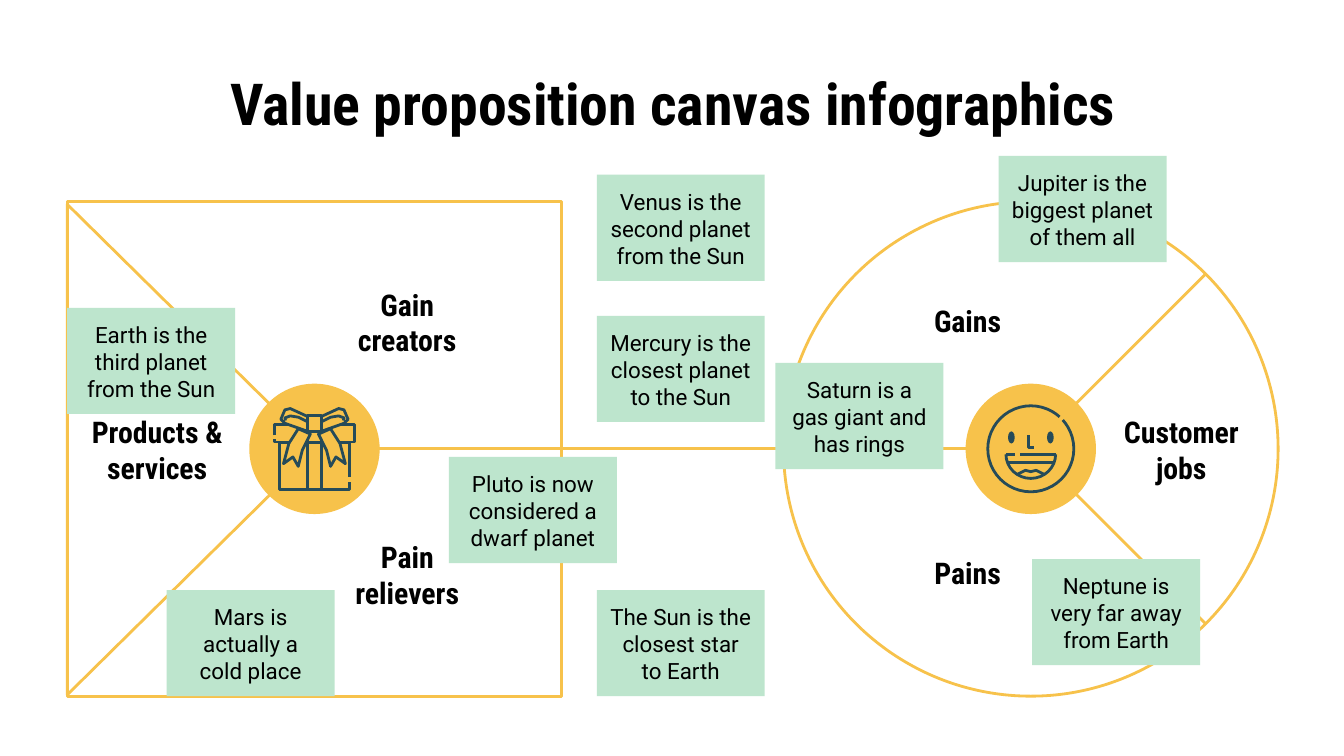
from math import cos, pi, sin
from lxml.etree import SubElement
from pptx import Presentation
from pptx.dml.color import RGBColor
from pptx.enum.shapes import MSO_CONNECTOR, MSO_SHAPE
from pptx.enum.text import MSO_ANCHOR, MSO_AUTO_SIZE, PP_ALIGN
from pptx.oxml.ns import qn
from pptx.util import Inches, Pt

COLORS = {"yellow": "F7C24B", "green": "BDE5CD", "ink": "264B59", "text": "000000"}

deck = Presentation()
deck.slide_width, deck.slide_height = Inches(10), Inches(5.625)
COL = deck.slide_width / 100  # square grid: 100 columns, 56.25 rows
slide = deck.slides.add_slide(deck.slide_layouts[5])
shapes = slide.shapes


def paint(shape, fill=None, line=None, width=1.5):
    shape.shadow.inherit = False
    if fill:
        shape.fill.solid()
        shape.fill.fore_color.rgb = RGBColor.from_string(COLORS[fill])
    else:
        shape.fill.background()
    if line:
        shape.line.color.rgb = RGBColor.from_string(COLORS[line])
        shape.line.width = Pt(width)
    else:
        shape.line.fill.background()
    return shape


def place(kind, *cells):
    return shapes.add_shape(kind, *(round(cell * COL) for cell in cells))


# Title
title = shapes.title
title.left, title.top, title.width, title.height = (
    round(cell * COL) for cell in (5, 4.5, 90.1, 6.2))
texts = [(title, "Value proposition canvas infographics", "Roboto Condensed", 31, True)]

# Customer circle, value square and the triangle that divides it
SIDE, MIDDLE, GIFT_X, FACE_X, HUB = 36.8, 33.4, 23.4, 76.7, 9.7
for kind, center in ((MSO_SHAPE.OVAL, FACE_X), (MSO_SHAPE.RECTANGLE, GIFT_X)):
    paint(place(kind, center - SIDE / 2, MIDDLE - SIDE / 2, SIDE, SIDE), line="yellow")
triangle = place(MSO_SHAPE.ISOSCELES_TRIANGLE, -4, 24.2, 36.5, 18.5)
triangle.rotation = 90
paint(triangle, line="yellow")

# Link between the hubs and the circle's dividers
for ends in ((GIFT_X, MIDDLE, FACE_X, MIDDLE),
             (FACE_X, MIDDLE, FACE_X + 13, MIDDLE + 13),
             (FACE_X + 13, MIDDLE - 13, FACE_X, MIDDLE)):
    divider = shapes.add_connector(MSO_CONNECTOR.STRAIGHT, *(round(end * COL) for end in ends))
    divider.line.color.rgb = RGBColor.from_string(COLORS["yellow"])
    divider.line.width = Pt(1.5)
    SubElement(divider._element.spPr, qn("a:effectLst"))

# Hubs
for center in (GIFT_X, FACE_X):
    paint(place(MSO_SHAPE.OVAL, center - HUB / 2, MIDDLE - HUB / 2, HUB, HUB), fill="yellow")

# Icon strokes, as offsets from the hub's centre: (hub, points, fill, closed)
tail = [(1.2, -1.5), (1.9, -0.4), (2.3, 1.1), (1.6, 0.6), (1.2, 1.3), (0.9, 0.1), (0.3, -1.1)]
loop = [(0.5, -2.4), (1.8, -3), (2.2, -2.9), (2.5, -2.2), (2.2, -1.9), (0.5, -1.3)]
fold = [(0.5, -2), (1.2, -2.35), (1.8, -2.45), (2.2, -2.3), (2.15, -2.1)]
smile = [(1.85 * cos(step * pi / 16), 0.4 + 1.8 * sin(step * pi / 16)) for step in range(17)]
strokes = [
    (GIFT_X, [(2.6, 2.1), (2.6, -0.5), (-2.6, -0.5), (-2.6, 3), (2.6, 3), (2.6, 2.5)], None, False),
    (GIFT_X, [(-3, -1), (-3, -1.8), (3, -1.8), (3, -0.5), (-3, -0.5), (-3, -0.7)], None, False),
    (GIFT_X, [(-0.5, -1), (-0.5, 3)], None, False),
    (GIFT_X, [(0.5, -1), (0.5, 3)], None, False),
]
for side in (-1, 1):
    for part, fill, closed in ((tail, "yellow", True), (loop, "yellow", True), (fold, None, False)):
        strokes.append((GIFT_X, [(side * x, y) for x, y in part], fill, closed))
strokes += [
    (GIFT_X, [(-0.5, -2.5), (0.5, -2.5), (0.5, -1.3), (-0.5, -1.3)], "yellow", True),
    (FACE_X, [(-0.2, -1), (-0.2, -0.1), (0.25, -0.1)], None, False),
    (FACE_X, smile, None, False),
    (FACE_X, [(-1.85, 0.4), (-1.2, 0.4)], None, False),
    (FACE_X, [(-0.8, 0.4), (1.85, 0.4)], None, False),
    (FACE_X, [(-1.75, 1), (1.75, 1)], None, False),
    (FACE_X, [(-1, 1.9), (-0.4, 1.6), (0, 1.7), (0.4, 1.6), (1, 1.9)], None, False),
]
for center, points, fill, closed in strokes:
    path = [(round((center + x) * COL), round((MIDDLE + y) * COL)) for x, y in points]
    outline = shapes.build_freeform(*path[0])
    outline.add_line_segments(path[1:], close=closed)
    paint(outline.convert_to_shape(), fill, "ink")

# Face outline, open at the upper right, and eyes
face = place(MSO_SHAPE.ARC, FACE_X - 3.2, MIDDLE - 3.2, 6.4, 6.4)
face.adjustments[0], face.adjustments[1] = 318 * 0.6, 312 * 0.6  # 60000ths of a degree
paint(face, line="ink")
for eye_x in (-1.45, 1.45):
    paint(place(MSO_SHAPE.OVAL, FACE_X + eye_x - 0.25, MIDDLE - 1.3, 0.5, 0.9), fill="ink")

# Section labels
for label, *cells in (
    ("Gains", 66.5, 21.5, 11, 4.9),
    ("Pains", 66.5, 40.3, 11, 4.9),
    ("Customer jobs", 81.8, 29.8, 12.2, 7.3),
    ("Pain relievers", 24.2, 39.1, 12.2, 7.3),
    ("Products & services", 5.6, 29.8, 12.2, 7.3),
    ("Gain creators", 24.2, 20.3, 12.2, 7.3),
):
    section = shapes.add_textbox(*(round(cell * COL) for cell in cells))
    texts.append((section, label, "Roboto Condensed", 16, True))

# Sticky notes
for fact, left, top in (
    ("Saturn is a gas giant and has rings", 57.7, 27),
    ("Jupiter is the biggest planet of them all", 74.3, 11.6),
    ("Neptune is very far away from Earth", 76.8, 41.6),
    ("The Sun is the closest star to Earth", 44.4, 43.9),
    ("Pluto is now considered a dwarf planet", 33.4, 34),
    ("Venus is the second planet from the Sun", 44.4, 13),
    ("Mercury is the closest planet to the Sun", 44.4, 23.5),
    ("Earth is the third planet from the Sun", 5, 22.9),
    ("Mars is actually a cold place", 12.4, 43.9),
):
    note = paint(place(MSO_SHAPE.RECTANGLE, left, top, 12.5, 7.9), fill="green")
    texts.append((note, fact, "Roboto", 12, False))

# All wording
for holder, words, font, size, bold in texts:
    frame = holder.text_frame
    frame.word_wrap, frame.auto_size = True, MSO_AUTO_SIZE.NONE
    frame.margin_left = frame.margin_right = frame.margin_top = frame.margin_bottom = Inches(0.1)
    frame.vertical_anchor = MSO_ANCHOR.MIDDLE if holder is title else MSO_ANCHOR.TOP
    frame.paragraphs[0].alignment = PP_ALIGN.CENTER
    run = frame.paragraphs[0].add_run()
    run.text = words
    run.font.name, run.font.size, run.font.bold = font, Pt(size), bold
    run.font.color.rgb = RGBColor.from_string(COLORS["text"])

deck.save("out.pptx")
